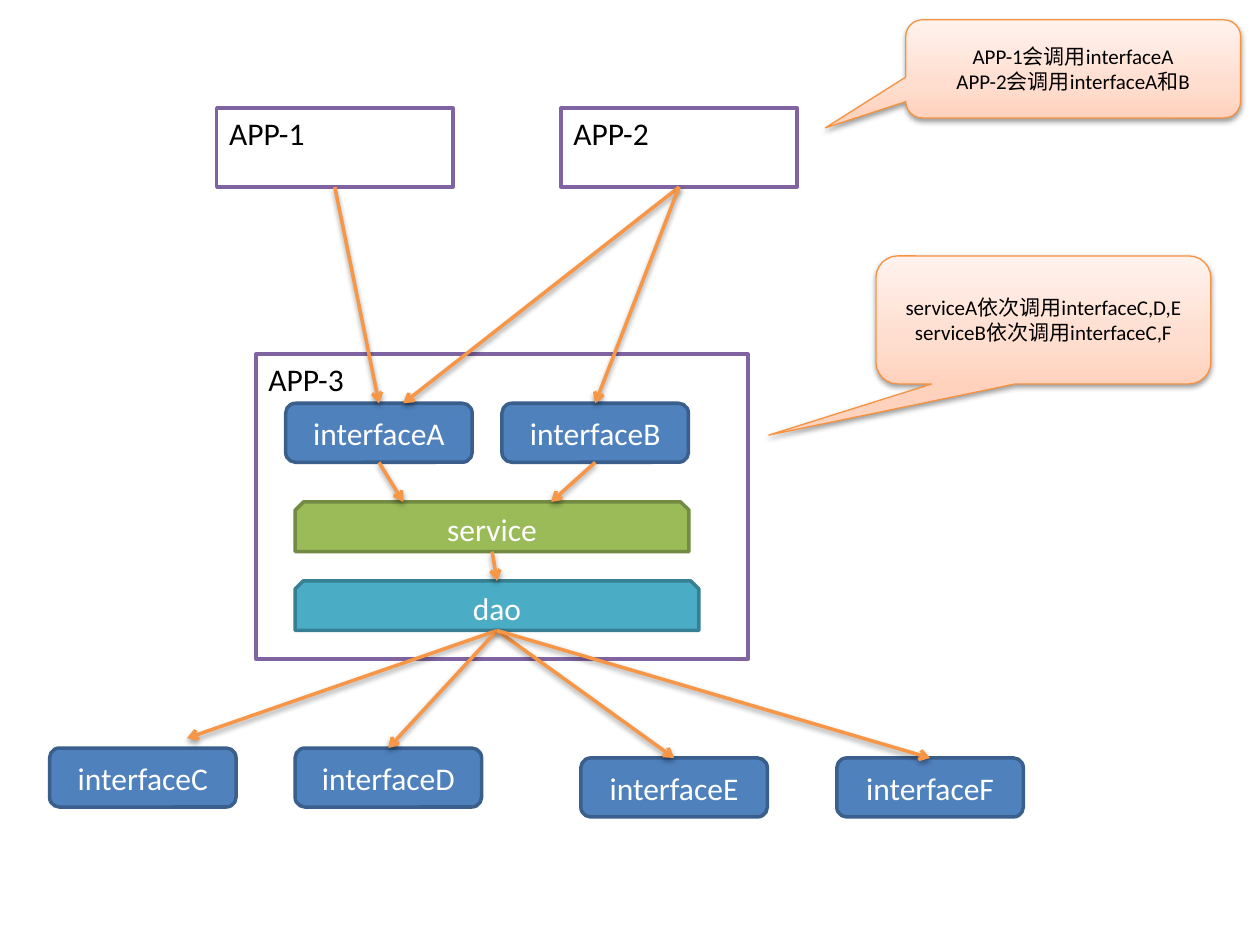
import pptx
import pptx.util
import pptx.dml.color
import pptx.enum.shapes
import pptx.enum.text
import pptx.oxml
import pptx.oxml.ns

Cm = pptx.util.Cm
Pt = pptx.util.Pt
Kind = pptx.enum.shapes.MSO_SHAPE
Anchor = pptx.enum.text.MSO_ANCHOR
Align = pptx.enum.text.PP_ALIGN
NAMESPACE = pptx.oxml.ns.nsdecls("a")


def color(value):
    return pptx.dml.color.RGBColor.from_string(value)


def write_text(shape, text, size=18, ink="FFFFFF", align=Align.CENTER, anchor=Anchor.MIDDLE):
    frame = shape.text_frame
    frame.word_wrap = True
    frame.vertical_anchor = anchor
    frame.text = text
    for paragraph in frame.paragraphs:
        paragraph.alignment = align
        font = paragraph.runs[0].font
        font.name = "Calibri"
        font.size = Pt(size)
        font.color.rgb = color(ink)


def add_effects(properties, shadow):
    for effects in properties.findall(pptx.oxml.ns.qn("a:effectLst")):
        properties.remove(effects)
    content = (
        '<a:outerShdw blurRad="40000" dist="20000" dir="5400000" rotWithShape="0">'
        '<a:srgbClr val="000000"><a:alpha val="38000"/></a:srgbClr></a:outerShdw>'
    ) if shadow else ""
    properties.append(pptx.oxml.parse_xml(f"<a:effectLst {NAMESPACE}>{content}</a:effectLst>"))


def top(shape):
    return shape.left + shape.width // 2, shape.top


def bottom(shape):
    return shape.left + shape.width // 2, shape.top + shape.height


class Diagram:
    interface_size = (3.76, 1.19)
    app_size = (4.76, 1.59)
    arrow_color = "F79646"
    callout_line = "F69240"
    callout_stops = [(0, "FFD2BD"), (35, "FFDED0"), (100, "FFF2ED")]

    def __init__(self, slide):
        self.slide = slide

    def box(self, kind, left, top, width, height, line, fill=None, weight=2, shadow=False):
        shape = self.slide.shapes.add_shape(kind, Cm(left), Cm(top), Cm(width), Cm(height))
        if fill:
            shape.fill.solid()
            shape.fill.fore_color.rgb = color(fill)
        shape.line.color.rgb = color(line)
        shape.line.width = Pt(weight)
        add_effects(shape._element.spPr, shadow)
        return shape

    def app(self, name, left, top, size=app_size):
        shape = self.box(Kind.RECTANGLE, left, top, *size, "8064A2", "FFFFFF")
        write_text(shape, name, ink="000000", align=Align.LEFT, anchor=Anchor.TOP)
        return shape

    def interface(self, name, left, top):
        shape = self.box(Kind.ROUNDED_RECTANGLE, left, top, *self.interface_size, "3A5F8C", "4F81BD")
        write_text(shape, name)
        return shape

    def layer(self, name, top, width, fill, line):
        shape = self.box(Kind.SNIP_2_SAME_RECTANGLE, 5.95, top, width, 1, line, fill)
        write_text(shape, name)
        return shape

    def arrow(self, start, end):
        connector = self.slide.shapes.add_connector(
            pptx.enum.shapes.MSO_CONNECTOR.STRAIGHT, *start, *end)
        connector.line.color.rgb = color(self.arrow_color)
        connector.line.width = Pt(2)
        connector.line._get_or_add_ln().append(
            pptx.oxml.parse_xml(f'<a:tailEnd {NAMESPACE} type="arrow"/>'))
        add_effects(connector._element.spPr, True)

    def callout(self, text, left, top, height, pointer):
        shape = self.box(Kind.ROUNDED_RECTANGULAR_CALLOUT, left, top, 6.75, height,
                         self.callout_line, weight=0.75, shadow=True)
        for index, value in enumerate(pointer):
            shape.adjustments[index] = value
        shape.fill.gradient()
        shape.fill.gradient_angle = 90
        stops = shape._element.spPr.find(".//" + pptx.oxml.ns.qn("a:gsLst"))
        for stop in list(stops):
            stops.remove(stop)
        for position, value in self.callout_stops:
            stops.append(pptx.oxml.parse_xml(
                f'<a:gs {NAMESPACE} pos="{position * 1000}"><a:srgbClr val="{value}"/></a:gs>'))
        write_text(shape, text, size=12, ink="000000")


presentation = pptx.Presentation()
presentation.slide_width = Cm(25.4)
presentation.slide_height = Cm(19.05)
diagram = Diagram(presentation.slides.add_slide(presentation.slide_layouts[6]))

diagram.app("APP-3", 5.16, 7.14, (9.92, 6.15))
app_1 = diagram.app("APP-1", 4.37, 2.18)
app_2 = diagram.app("APP-2", 11.31, 2.18)
interface_a = diagram.interface("interfaceA", 5.76, 8.13)
interface_b = diagram.interface("interfaceB", 10.12, 8.13)
service = diagram.layer("service", 10.12, 7.94, "9BBB59", "738A42")
dao = diagram.layer("dao", 11.71, 8.14, "4BACC6", "377F92")
interface_c = diagram.interface("interfaceC", 1, 15.08)
interface_d = diagram.interface("interfaceD", 5.95, 15.08)
interface_e = diagram.interface("interfaceE", 11.71, 15.28)
interface_f = diagram.interface("interfaceF", 16.87, 15.28)

for start, end in [
    (bottom(interface_a), (Cm(8.13), service.top)),
    (bottom(interface_b), (Cm(11.11), service.top)),
    (bottom(service), top(dao)),
    (bottom(dao), (Cm(3.77), Cm(14.88))),
    (bottom(dao), top(interface_d)),
    (bottom(dao), top(interface_e)),
    (bottom(dao), top(interface_f)),
    (bottom(app_1), top(interface_a)),
    (bottom(app_2), (Cm(8.13), interface_a.top)),
    (bottom(app_2), top(interface_b)),
]:
    diagram.arrow(start, end)

diagram.callout("serviceA依次调用interfaceC,D,E\nserviceB依次调用interfaceC,F",
                17.66, 5.16, 2.58, (-0.82, 0.9, 0.17))
diagram.callout("APP-1会调用interfaceA\nAPP-2会调用interfaceA和B",
                18.26, 0.4, 1.98, (-0.74, 0.6, 0.17))

presentation.save("out.pptx")
